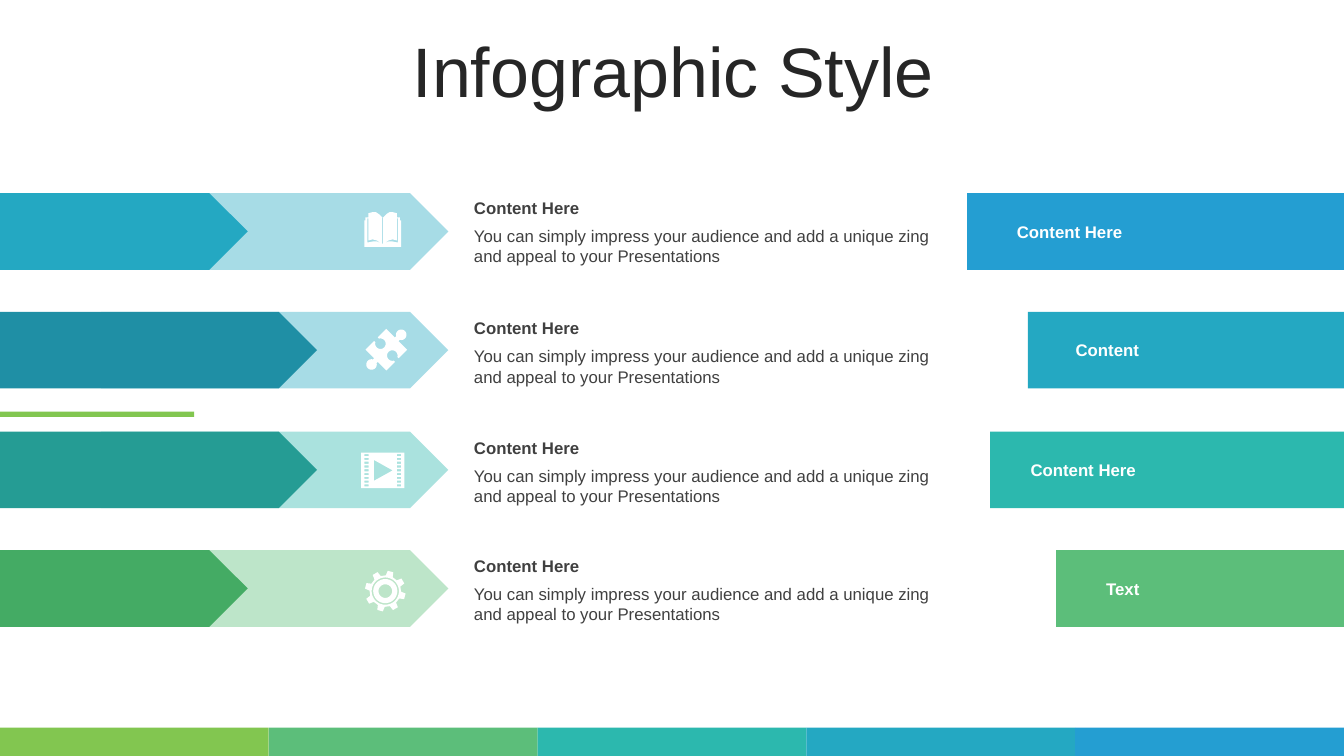
from math import cos, radians, sin

from lxml import etree
from pptx import Presentation
from pptx.dml.color import RGBColor
from pptx.enum.shapes import MSO_SHAPE
from pptx.enum.text import MSO_ANCHOR, MSO_AUTO_SIZE, PP_ALIGN
from pptx.oxml.ns import qn
from pptx.util import Emu, Pt

RECTANGLE, PENTAGON = MSO_SHAPE.RECTANGLE, MSO_SHAPE.PENTAGON
TOP, MIDDLE = MSO_ANCHOR.TOP, MSO_ANCHOR.MIDDLE
LEFT, CENTER = PP_ALIGN.LEFT, PP_ALIGN.CENTER
NO_FIT, GROW = MSO_AUTO_SIZE.NONE, MSO_AUTO_SIZE.SHAPE_TO_FIT_TEXT

SLIDE_WIDTH, SLIDE_HEIGHT = 1280, 720
EMU_PER_PX = 9525
FONT = "Arial"
COLORS = {
    "lime": "82C650", "green": "5CBE7A", "teal": "2CB8AE", "cyan": "24A8C2", "blue": "249ED2",
    "dark_green": "44AB64", "dark_teal": "259C94", "dark_cyan": "1F8FA5",
    "title": "262626", "text": "404040", "white": "FFFFFF",
}
FOOTER_COLORS = ["lime", "green", "teal", "cyan", "blue"]
HEADING = "Content Here"
BODY = "You can simply impress your audience and add a unique zing and appeal to your Presentations"


def px(length):
    """Turn pixels into EMU."""
    return Emu(round(length * EMU_PER_PX))


def rgb(name):
    """Return the named colour."""
    return RGBColor.from_string(COLORS[name])


def paint(shape, color, opacity=100):
    """Give a shape a flat fill without line or shadow."""
    shape.shadow.inherit = False
    shape.line.fill.background()
    shape.fill.solid()
    shape.fill.fore_color.rgb = rgb(color)
    if opacity < 100:
        fill = shape._element.spPr.find(qn("a:solidFill"))
        etree.SubElement(fill[0], qn("a:alpha"), val=str(opacity * 1000))


def add_block(slide, kind, box, color, opacity=100):
    """Add a filled preset shape in a pixel box."""
    paint(slide.shapes.add_shape(kind, *map(px, box)), color, opacity)


def write(shape, text, size=12, color="text", bold=False, align=LEFT, anchor=TOP, fit=GROW, spacing=1.0):
    """Write one formatted paragraph into a shape."""
    frame = shape.text_frame
    frame.word_wrap = True
    frame.auto_size = fit
    frame.vertical_anchor = anchor
    paragraph = frame.paragraphs[0]
    paragraph.alignment = align
    paragraph.line_spacing = spacing
    run = paragraph.add_run()
    run.text = text
    run.font.name = FONT
    run.font.size = Pt(size)
    run.font.bold = bold
    run.font.color.rgb = rgb(color)


def add_text(slide, box, text, **text_format):
    """Add a text box in a pixel box."""
    write(slide.shapes.add_textbox(*map(px, box)), text, **text_format)


def arc(x, y, radius, start=0, end=360, steps=36):
    """Return points along an arc, with angles in degrees."""
    angles = [radians(start + (end - start) * step / steps) for step in range(steps + 1)]
    return [(x + radius * cos(angle), y + radius * sin(angle)) for angle in angles]


def rectangle(left, top, width, height):
    """Return the corners of a rectangle."""
    right, bottom = left + width, top + height
    return [(left, top), (right, top), (right, bottom), (left, bottom)]


def book_outlines():
    """Return an open book 35 px wide."""
    cover = [(17, 5), (14, 2), (11, 0), (8, 0), (4, 1), (4, 5), (1, 5), (1, 8), (0, 8), (0, 33)]
    page_edge = [(3, 6), (4, 6), (4, 27), (8, 26), (12, 27), (16, 30), (12, 28), (8, 28), (3, 29)]

    def mirror(points):
        """Reflect points across the spine."""
        return [(35 - x, y) for x, y in points]

    return [cover + mirror(cover)[::-1], page_edge, mirror(page_edge), rectangle(17, 5, 1, 25)]


def puzzle_outlines():
    """Return an upright puzzle piece of 28 by 50 px."""
    knob = [(0, 11), (11.5, 11)] + arc(14, 5, 5, 120, 420) + [(16.5, 11), (28, 11)]
    notch = [(28, 22.5)] + arc(22, 25, 5, -30, -330) + [(28, 27.5)]
    half = knob + notch
    return [half + [(28 - x, 50 - y) for x, y in half]]


def film_outlines():
    """Return a film frame of 41 by 34 px with a play sign."""
    holes = [rectangle(left, 1.5 + 3.6 * row, 4, 2) for left in (3, 34) for row in range(9)]
    return [rectangle(0, 0, 41, 34), [(12, 7), (12, 27), (30, 17)]] + holes


def gear_outlines():
    """Return a gear of 38 px with eight teeth and a ring."""
    teeth = []
    for tooth in range(8):
        middle = 45 * tooth - 75
        for offset, radius in ((-13, 15), (-8, 19.5), (8, 19.5), (13, 15)):
            teeth += arc(19, 19, radius, middle + offset, middle + offset, 0 + 1)[:1]
    return [teeth] + [arc(19, 19, radius) for radius in (13, 11.5, 6.5)]


def add_icon(slide, left, top, outlines, rotation=0):
    """Draw white outlines as one shape, placed from its corner."""
    contours = [[(px(left + x), px(top + y)) for x, y in points] for points in outlines]
    builder = slide.shapes.build_freeform(*contours[0][0])
    builder.add_line_segments(contours[0][1:])
    for points in contours[1:]:
        builder.move_to(*points[0])
        builder.add_line_segments(points[1:])
    shape = builder.convert_to_shape()
    shape.rotation = rotation
    paint(shape, "white")


ROWS = [
    {"arrow": ("cyan", 236, "cyan"), "text_shift": -1, "tag": ("Content Here", "blue", 921, 38),
     "icon": (347, 18, book_outlines(), 0)},
    {"arrow": ("dark_cyan", 302, "cyan"), "text_shift": 1, "tag": ("Content", "cyan", 979, 36),
     "icon": (354, 11, puzzle_outlines(), 45)},
    {"arrow": ("dark_teal", 302, "teal"), "text_shift": 1, "tag": ("Content Here", "teal", 943, 29),
     "icon": (344, 20, film_outlines(), 0)},
    {"arrow": ("dark_green", 236, "green"), "text_shift": 0, "tag": ("Text", "green", 1006, 38),
     "icon": (348, 20, gear_outlines(), 0)},
]


def add_decoration(slide, box):
    """Add the footer stripes and the accent bar."""
    left, top, width, height = box
    stripe = width // len(FOOTER_COLORS)
    for index, color in enumerate(FOOTER_COLORS):
        add_block(slide, RECTANGLE, (left + index * stripe, top + height - 27, stripe, 27), color)
    add_block(slide, RECTANGLE, (left, top + 392, 185, 5), "lime")


def add_title(slide, box):
    """Place and format the title."""
    title = slide.shapes.title
    title.left, title.top, title.width, title.height = map(px, box)
    write(title, "Infographic Style", size=50, color="title", align=CENTER, anchor=MIDDLE, fit=NO_FIT, spacing=0.8)


def add_row(slide, box, row):
    """Add one row with its arrows, icon, text and tag."""
    left, top, width, height = box
    dark, dark_width, light = row["arrow"]
    add_block(slide, PENTAGON, (left + 96, top, 331, height), light, opacity=40)
    add_block(slide, PENTAGON, (left, top, dark_width, height), dark)
    icon_left, icon_top, outlines, rotation = row["icon"]
    add_icon(slide, left + icon_left, top + icon_top, outlines, rotation)

    text_top = top + row["text_shift"]
    add_text(slide, (left + 442, text_top, 475, 29), HEADING, bold=True, anchor=MIDDLE)
    add_text(slide, (left + 442, text_top + 27, 475, 48), BODY)

    label, color, tag_left, indent = row["tag"]
    add_block(slide, RECTANGLE, (left + tag_left, top, width - tag_left, height), color)
    add_text(slide, (left + tag_left + indent, top + 22, 164, 29), label, color="white", bold=True, anchor=MIDDLE)


def main():
    """Build and save the slide."""
    presentation = Presentation()
    presentation.slide_width, presentation.slide_height = px(SLIDE_WIDTH), px(SLIDE_HEIGHT)
    slide = presentation.slides.add_slide(presentation.slide_layouts[5])
    add_decoration(slide, (0, 0, SLIDE_WIDTH, SLIDE_HEIGHT))
    add_title(slide, (34, 36, 1215, 76))
    for index, row in enumerate(ROWS):
        add_row(slide, (0, 184 + round(index * 340 / 3), SLIDE_WIDTH, 73), row)
    presentation.save("out.pptx")


if __name__ == "__main__":
    main()
